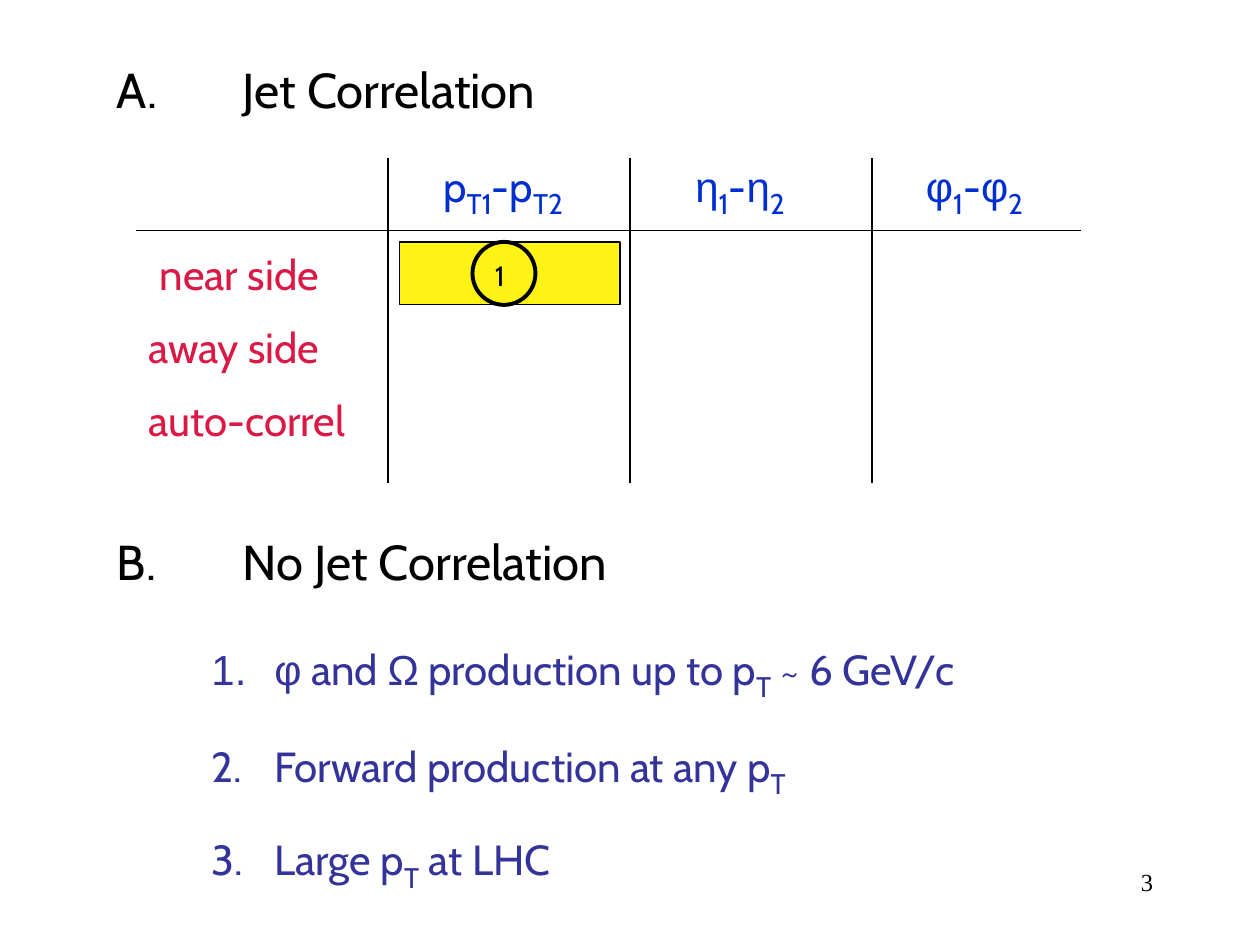
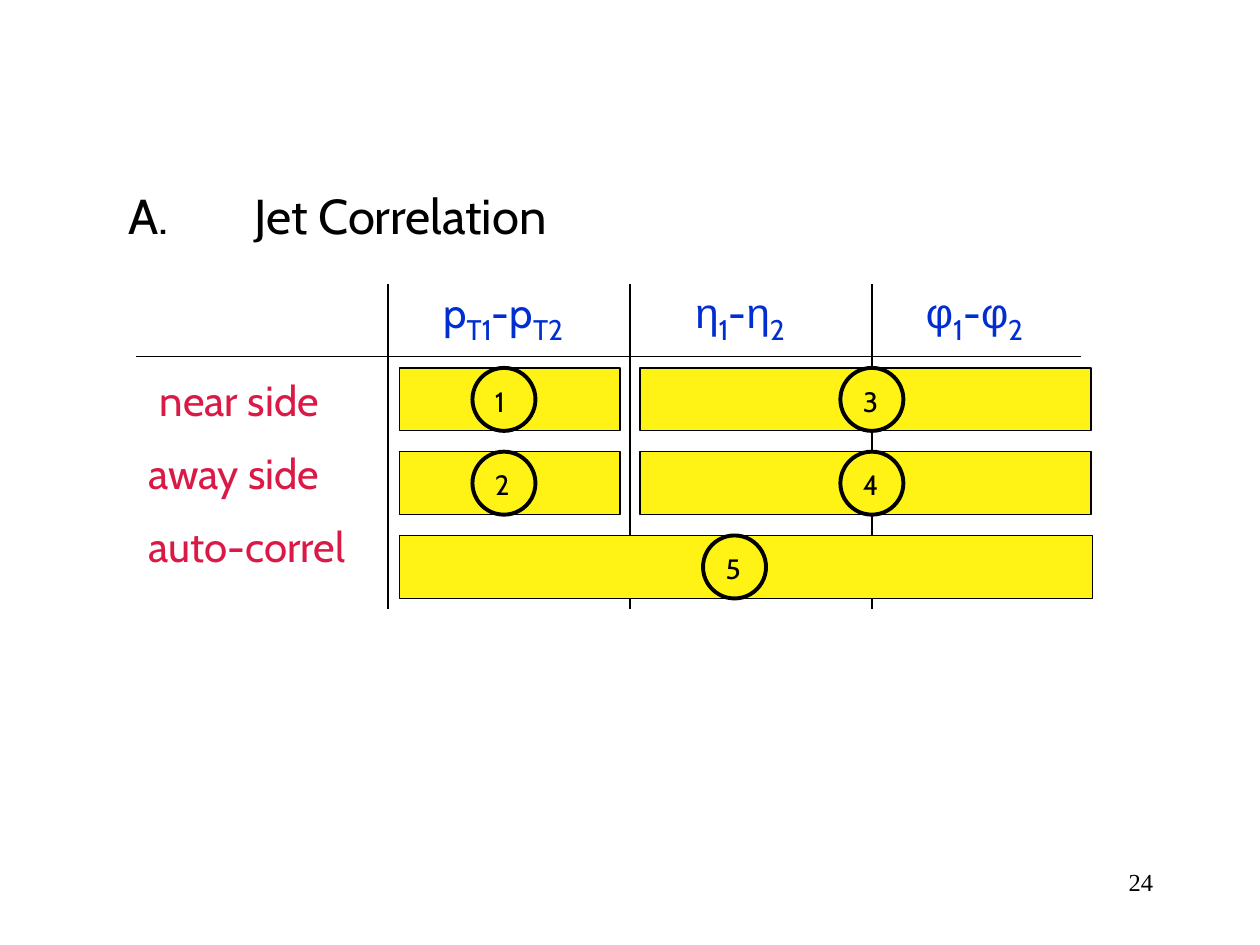
from lxml import etree
from pptx import Presentation
from pptx import util as u
from pptx.dml import color as col
from pptx.enum import shapes as sh, text as tx
from pptx.oxml import ns

INK = {"black": "000000", "blue": "002ED1", "red": "DA1946",
       "navy": "333399", "yellow": "FFF215"}
GREEK = "φηΩ"


class Deck:
    """Holds the style and the current slide."""

    face, greek, plain = "Cabin", "Arial", "Times New Roman"

    def __init__(self):
        self.prs = Presentation()
        self.prs.slide_width = u.Inches(10)
        self.prs.slide_height = u.Inches(7.5)
        self.slide = None

    def page(self, num):
        self.slide = self.prs.slides.add_slide(self.prs.slide_layouts[6])
        self.text(num, 7.17, 6.83, 2.08, 0.5, 14, face=self.plain,
                  align=tx.PP_ALIGN.RIGHT)

    def rgb(self, ink):
        return col.RGBColor.from_string(INK[ink])

    def runs(self, para, line, size, ink, face=None):
        """Add a line whose parts are split by |; a leading _ lowers a part."""
        for part in line.split("|"):
            low = part.startswith("_")
            run = para.add_run()
            run.text = part.removeprefix("_")
            font = run.font
            font.name = self.greek if part in GREEK else face or self.face
            font.size = u.Pt(28 if low else size)
            font.color.rgb = self.rgb(ink)
            if low:
                run._r.get_or_add_rPr().set("baseline", "-25000")

    def box(self, x, y, w, h):
        frame = self.slide.shapes.add_textbox(
            *map(u.Inches, (x, y, w, h))).text_frame
        frame.word_wrap = True
        return frame

    def text(self, line, x, y, w, h, size, ink="black", face=None, align=None):
        para = self.box(x, y, w, h).paragraphs[0]
        para.alignment = align
        self.runs(para, line, size, ink, face)
        return para

    def head(self, line, x, y, w):
        para = self.text(line, x, y, w, 0.57, 28)
        tabs = self.add(para._p.get_or_add_pPr(), "tabLst")
        self.add(tabs, "tab", pos=u.Inches(1), algn="l")

    def add(self, root, tag, **attrs):
        node = etree.SubElement(root, ns.qn("a:" + tag))
        for key, val in attrs.items():
            node.set(key, str(val))
        return node

    def list(self, items, x, y, w, h, ink):
        frame = self.box(x, y, w, h)
        for i, (line, gap) in enumerate(items):
            para = frame.add_paragraph() if i else frame.paragraphs[0]
            if gap:
                para.space_before = u.Pt(gap)
            props = para._p.get_or_add_pPr()
            props.set("marL", str(u.Inches(0.5)))
            props.set("indent", str(-u.Inches(0.5)))
            self.add(self.add(props, "buClr"), "srgbClr", val=INK[ink])
            self.add(props, "buFont", typeface=self.face)
            self.add(props, "buAutoNum", type="arabicPeriod")
            self.runs(para, line, 24, ink)

    def rule(self, x1, y1, x2, y2):
        line = self.slide.shapes.add_connector(
            sh.MSO_CONNECTOR.STRAIGHT, *map(u.Inches, (x1, y1, x2, y2)))
        line.line.color.rgb = self.rgb("black")
        line.line.width = u.Pt(0.75)
        self.add(line._element.spPr, "effectLst")

    def shape(self, kind, x, y, w, h, width, fill=None):
        item = self.slide.shapes.add_shape(kind, *map(u.Inches, (x, y, w, h)))
        item.shadow.inherit = False
        item.line.color.rgb = self.rgb("black")
        item.line.width = u.Pt(width)
        if fill:
            item.fill.solid()
            item.fill.fore_color.rgb = self.rgb(fill)
        else:
            item.fill.background()

    def mark(self, num, x, y, w, ring):
        """A yellow bar with a ringed number."""
        kind = sh.MSO_SHAPE
        self.shape(kind.RECTANGLE, x, y, w, 0.5, 0.75, "yellow")
        self.shape(kind.OVAL, ring, y, 0.5, 0.5, 2.25)
        self.text(num, ring + 0.08, y + 0.08, 0.42 if num != "1" else 0.33,
                  0.37, 16)

    def grid(self, top, marks):
        """The correlation chart; each mark is number, row, left, width, ring."""
        # Rules
        self.rule(1.08, top + 0.58, 8.58, top + 0.58)
        for i in range(3):
            x = 3.08 + 1.92 * i
            self.rule(x, top, x, top + 2.58)
        # Column heads
        for line, x, w in (("p|_T1|-p|_T2", 3.42, 1.5),
                           ("η|_1|-|η|_2", 5.42, 1.25),
                           ("φ|_1|-|φ|_2", 7.25, 1.25)):
            self.text(line, x, top - 0.08, w, 0.63, 24, "blue")
        # Row names
        sides = (("near side", 1.17), ("away side", 1.08),
                 ("auto-correl", 1.08))
        for i, (line, x) in enumerate(sides):
            self.text(line, x, top + 0.67 + 0.58 * i, 1.92, 0.5, 24, "red")
        # Marks
        for num, row, x, w, ring in marks:
            self.mark(num, x, top + 0.67 + 0.665 * row, w, ring)


def main():
    deck = Deck()
    first = ("1", 0, 3.17, 1.75, 3.75)

    # Jet and no jet correlation
    deck.page("3")
    deck.head("A.\tJet Correlation", 0.83, 0.42, 4.33)
    deck.grid(1.25, [first])
    deck.head("B.\tNo Jet Correlation", 0.83, 4.17, 6)
    deck.list([("φ| and |Ω| production up to p|_T| ~ 6 GeV/c", 0),
               ("Forward production at any p|_T", 17.5),
               ("Large p|_T| at LHC", 15)], 1.58, 5, 6.92, 2.15, "navy")

    # Full jet correlation chart
    deck.page("24")
    deck.head("A.\tJet Correlation", 0.92, 1.42, 4.33)
    deck.grid(2.25, [first,
                     ("2", 1, 3.17, 1.75, 3.75),
                     ("3", 0, 5.08, 3.58, 6.67),
                     ("4", 1, 5.08, 3.58, 6.67),
                     ("5", 2, 3.17, 5.5, 5.58)])

    deck.prs.save("out.pptx")


if __name__ == "__main__":
    main()
